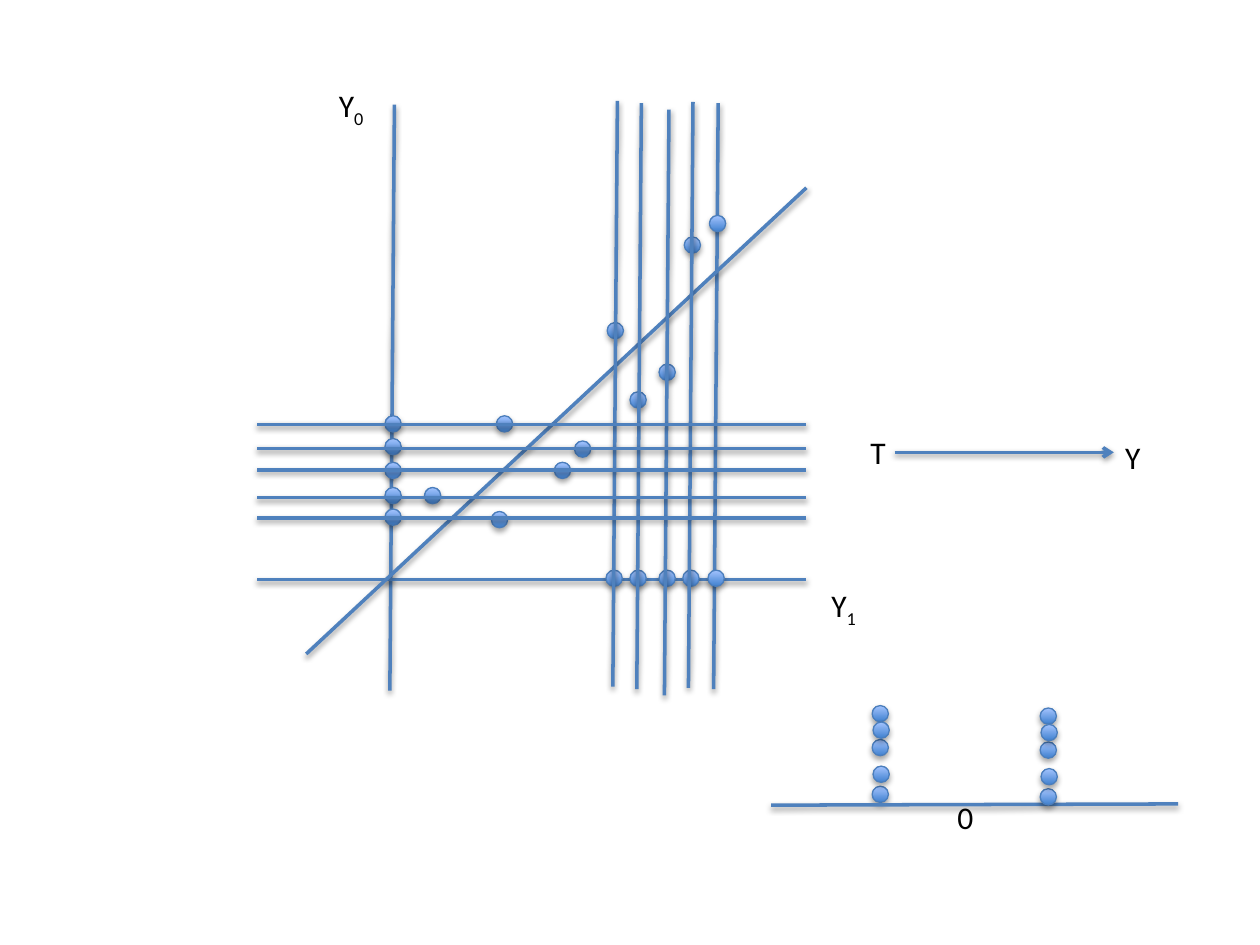
"""Build a slide of potential outcomes: a scatter of Y0 against Y1, a T to Y arrow and a dot plot."""
from dataclasses import dataclass

from lxml.etree import SubElement
from pptx import Presentation
from pptx.dml.color import RGBColor as RGB
from pptx.enum.shapes import MSO_CONNECTOR as CONN, MSO_SHAPE as SHAPE
from pptx.enum.text import MSO_AUTO_SIZE as FIT
from pptx.oxml.ns import qn
from pptx.util import Pt


@dataclass(frozen=True)
class Theme:
    line: RGB = RGB(0x4F, 0x81, 0xBD)
    edge: RGB = RGB(0x4B, 0x7E, 0xBC)
    dot_low: RGB = RGB(0x3F, 0x80, 0xCE)
    dot_high: RGB = RGB(0xA4, 0xC4, 0xFF)
    text: RGB = RGB(0, 0, 0)
    font: str = "Calibri"
    size: float = 18
    line_width: float = 2
    edge_width: float = 0.75
    dot: float = 9.3


@dataclass(frozen=True)
class Line:
    x1: float
    y1: float
    x2: float
    y2: float
    arrow: bool = False


@dataclass(frozen=True)
class Dot:
    x: float
    y: float


@dataclass(frozen=True)
class Label:
    text: str
    x: float
    y: float
    w: float
    sub: str = ""
    wrap: bool = False


THEME = Theme()
LABEL_HEIGHT = 29.1


def upright(x: float, y: float) -> Line:
    return Line(x, y, x - 2.6, y + 334.8)


def level(y: float) -> Line:
    return Line(146.9, y, 460.8, y)


def stack(x: float, y: float) -> list[Dot]:
    offsets = [(0, 46.1), (0, 0), (0, 19.4), (0.5, 34.6), (0.5, 9.4)]
    return [Dot(x + dx, y + dy) for dx, dy in offsets]


AXES = [upright(410.4, 59), upright(225.4, 59.8), level(331.2), Line(175, 373.7, 460.8, 107.3)]
BELOW_DIAGONAL = [Dot(242.6, 278.6), Dot(316.8, 264.2), Dot(328.3, 252),
                  Dot(280.8, 292.3), Dot(283.7, 237.6)]
ABOVE_DIAGONAL = [Dot(360, 223.9), Dot(376.6, 208.1), Dot(391, 135.4),
                  Dot(347, 184.3), Dot(405.4, 123.1)]
ON_Y0 = [Dot(220, y) for y in (278.6, 264.2, 250.6, 290.9, 237.6)]
ON_Y1 = [Dot(x, 325.8) for x in (360, 376.6, 390.2, 346.3, 404.6)]
UPRIGHTS = [upright(352.8, 57.6), upright(366.5, 59), upright(382.3, 62.6), upright(396, 58.3)]
LEVELS = [level(y) for y in (295.9, 284.4, 268.6, 256.3, 242.6)]
BASELINE = Line(440.6, 460.1, 673.2, 459.4)
EFFECT = Line(511.2, 258.5, 636.5, 258.5, arrow=True)

ITEMS = [
    *AXES,
    Label("Y", 186.5, 45.4, 29.5, sub="0"),
    Label("Y", 468, 331.2, 29.5, sub="1"),
    *BELOW_DIAGONAL, *ABOVE_DIAGONAL, *ON_Y0, *ON_Y1, *UPRIGHTS,
    Label("0", 540, 452.2, 23.8),
    *stack(498.4, 403.2), BASELINE, *stack(594.4, 404.6),
    Label("Y", 635.8, 247, 24.5, wrap=True),
    Label("T", 490.3, 244.1, 31.7, wrap=True),
    EFFECT, *LEVELS,
]


def set_attrs(obj, values: dict) -> None:
    for name, value in values.items():
        setattr(obj, name, value)


def add_shadow(sp, dist: float, alpha: int) -> None:
    effects = SubElement(sp._element.spPr, qn("a:effectLst"))
    shadow = SubElement(effects, qn("a:outerShdw"), blurRad=str(Pt(3.15)), dist=str(Pt(dist)),
                        dir="5400000", rotWithShape="0")
    color = SubElement(shadow, qn("a:srgbClr"), val="000000")
    SubElement(color, qn("a:alpha"), val=str(alpha * 1000))


def draw_line(shapes, item: Line) -> None:
    sp = shapes.add_connector(CONN.STRAIGHT, Pt(item.x1), Pt(item.y1), Pt(item.x2), Pt(item.y2))
    sp.line.color.rgb = THEME.line
    sp.line.width = Pt(THEME.line_width)
    if item.arrow:
        SubElement(sp.line._get_or_add_ln(), qn("a:tailEnd"), type="arrow")
    add_shadow(sp, 1.57, 38)


def draw_dot(shapes, item: Dot) -> None:
    sp = shapes.add_shape(SHAPE.OVAL, Pt(item.x), Pt(item.y), Pt(THEME.dot), Pt(THEME.dot))
    sp.fill.gradient()
    sp.fill.gradient_angle = 90
    for stop, color in zip(sp.fill.gradient_stops, (THEME.dot_low, THEME.dot_high)):
        stop.color.rgb = color
    sp.line.color.rgb = THEME.edge
    sp.line.width = Pt(THEME.edge_width)
    add_shadow(sp, 1.81, 35)


def draw_label(shapes, item: Label) -> None:
    sp = shapes.add_textbox(Pt(item.x), Pt(item.y), Pt(item.w), Pt(LABEL_HEIGHT))
    tf = sp.text_frame
    set_attrs(tf, {"word_wrap": item.wrap, "auto_size": FIT.SHAPE_TO_FIT_TEXT})
    p = tf.paragraphs[0]
    for text, baseline in ((item.text, 0), (item.sub, -25000)):
        if not text:
            continue
        r = p.add_run()
        r.text = text
        set_attrs(r.font, {"name": THEME.font, "size": Pt(THEME.size)})
        r.font.color.rgb = THEME.text
        if baseline:
            r._r.get_or_add_rPr().set("baseline", str(baseline))


def main() -> None:
    prs = Presentation()
    set_attrs(prs, {"slide_width": Pt(720), "slide_height": Pt(540)})
    s = prs.slides.add_slide(prs.slide_layouts[6])
    draw = {Line: draw_line, Dot: draw_dot, Label: draw_label}
    for item in ITEMS:
        draw[type(item)](s.shapes, item)
    prs.save("out.pptx")


if __name__ == "__main__":
    main()
